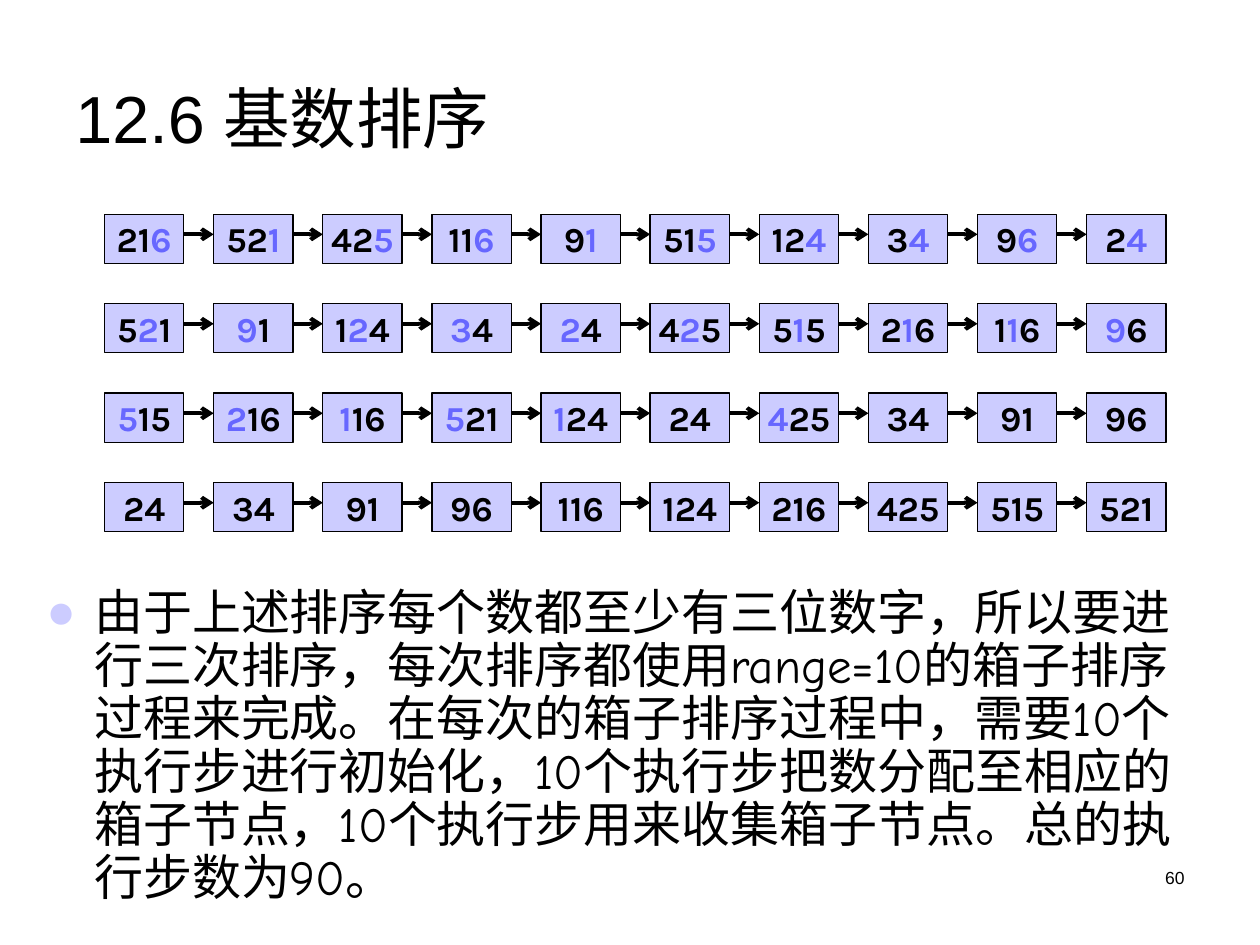
import pptx
import pptx.dml.color
import pptx.enum.shapes
import pptx.enum.text
import pptx.oxml
import pptx.oxml.ns
import pptx.util
from pptx.util import Inches, Pt

BLACK = pptx.dml.color.RGBColor(0x00, 0x00, 0x00)
LAVENDER = pptx.dml.color.RGBColor(0xCC, 0xCC, 0xFF)
VIOLET = pptx.dml.color.RGBColor(0x67, 0x67, 0xFF)
NS = pptx.oxml.ns.nsdecls("a")

NUMBERS = [216, 521, 425, 116, 91, 515, 124, 34, 96, 24]
PASSES = 3
NODE_LEFT, NODE_TOP = 0.83, 1.7
NODE_WIDTH, NODE_HEIGHT = 0.63, 0.39
COLUMN_STEP, ROW_STEP = 0.866, 0.71
ARROW_DROP = 0.16


def add_run(paragraph, text, font_name, size, color=BLACK, bold=False):
    run = paragraph.add_run()
    run.text = text
    run.font.name = font_name
    run.font.size = Pt(size)
    run.font.bold = bold
    run.font.color.rgb = color


def add_text_area(left, top, width, height, anchor=pptx.enum.text.MSO_ANCHOR.TOP):
    """Add a wrapping text box and return its first paragraph."""
    area = slide.shapes.add_textbox(Inches(left), Inches(top), Inches(width), Inches(height))
    area.text_frame.word_wrap = True
    area.text_frame.vertical_anchor = anchor
    return area.text_frame.paragraphs[0]


prs = pptx.Presentation()
prs.slide_width, prs.slide_height = Inches(10), Inches(7.5)
slide = prs.slides.add_slide(prs.slide_layouts[6])

page_number = add_text_area(7.17, 6.83, 2.33, 0.5)
page_number.alignment = pptx.enum.text.PP_ALIGN.RIGHT
add_run(page_number, "60", "Arial", 10)

title = add_text_area(0.5, 0.3, 9, 1.25, pptx.enum.text.MSO_ANCHOR.MIDDLE)
add_run(title, "12.6 基数排序", "Arial", 38)

explanation = add_text_area(0.27, 4.62, 9.44, 2.65)
bullet_props = explanation._p.get_or_add_pPr()
bullet_props.set("marL", str(Inches(0.38)))
bullet_props.set("indent", str(Inches(-0.38)))
for bullet_xml in (
    f'<a:buClr {NS}><a:srgbClr val="{LAVENDER}"/></a:buClr>',
    f'<a:buFont {NS} typeface="Arial"/>',
    f'<a:buChar {NS} char="●"/>',
):
    bullet_props.append(pptx.oxml.parse_xml(bullet_xml))
explanation.line_spacing = 0.9
add_run(
    explanation,
    "由于上述排序每个数都至少有三位数字，所以要进行三次排序，"
    "每次排序都使用range=10的箱子排序过程来完成。"
    "在每次的箱子排序过程中，需要10个执行步进行初始化，"
    "10个执行步把数分配至相应的箱子节点，"
    "10个执行步用来收集箱子节点。总的执行步数为90。",
    "Comic Neue", 28,
)

# Each row shows the chain before a pass, with that pass's digit highlighted;
# the last row is the sorted result.
chain = NUMBERS
for place in range(PASSES + 1):
    top = NODE_TOP + place * ROW_STEP
    for column, number in enumerate(chain):
        left = NODE_LEFT + column * COLUMN_STEP
        node = slide.shapes.add_shape(
            pptx.enum.shapes.MSO_SHAPE.RECTANGLE,
            Inches(left), Inches(top), Inches(NODE_WIDTH), Inches(NODE_HEIGHT),
        )
        node.shadow.inherit = False
        node.fill.solid()
        node.fill.fore_color.rgb = LAVENDER
        node.line.color.rgb = BLACK
        node.line.width = Pt(0.75)
        node.text_frame.word_wrap = False
        node.text_frame.vertical_anchor = pptx.enum.text.MSO_ANCHOR.MIDDLE
        label = node.text_frame.paragraphs[0]
        label.alignment = pptx.enum.text.PP_ALIGN.CENTER

        digits = str(number)
        key = len(digits) - 1 - place
        if key < 0:
            parts = [(digits, BLACK)]
        else:
            parts = [(digits[:key], BLACK), (digits[key], VIOLET), (digits[key + 1:], BLACK)]
        for text, color in parts:
            if text:
                add_run(label, text, "Karla", 20, color, bold=True)

        if column < len(chain) - 1:
            arrow_y = Inches(top + ARROW_DROP)
            arrow = slide.shapes.add_connector(
                pptx.enum.shapes.MSO_CONNECTOR.STRAIGHT,
                Inches(left + NODE_WIDTH), arrow_y, Inches(left + COLUMN_STEP), arrow_y,
            )
            arrow.line.color.rgb = BLACK
            arrow.line.width = Pt(2.25)
            arrow.line._get_or_add_ln().append(
                pptx.oxml.parse_xml(f'<a:tailEnd {NS} type="arrow"/>'))
            arrow._element.spPr.append(pptx.oxml.parse_xml(f"<a:effectLst {NS}/>"))
    chain = sorted(chain, key=lambda value: value // 10 ** place % 10)

prs.save("out.pptx")
